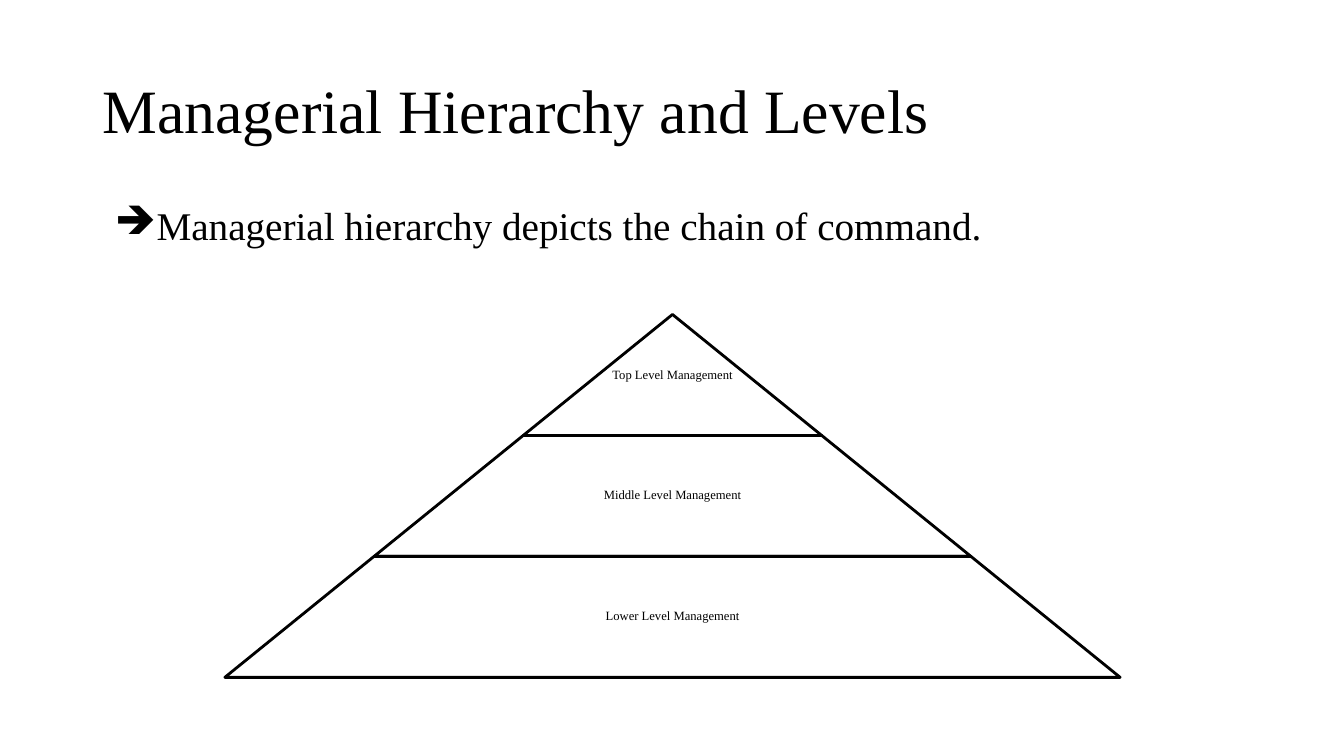
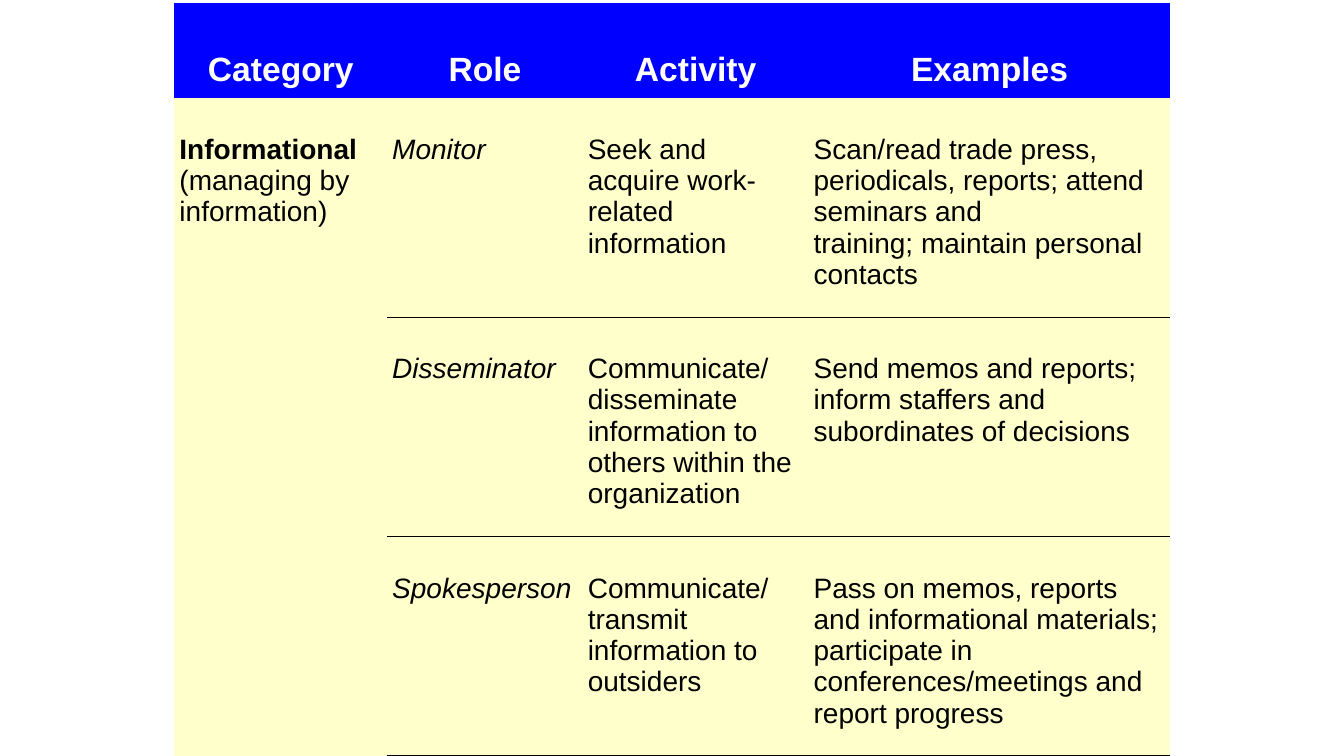
from dataclasses import dataclass

from lxml.etree import SubElement
from pptx import Presentation
from pptx.dml.color import RGBColor
from pptx.enum.shapes import MSO_SHAPE
from pptx.enum.text import MSO_ANCHOR, PP_ALIGN
from pptx.oxml.ns import qn
from pptx.util import Inches, Pt

# Shared style
WHITE, BLACK, BLUE, CREAM = "FFFFFF", "000000", "0000FF", "FFFFCC"
SERIF, SANS = "Times New Roman", "Arial"
SLIDE_WIDTH, SLIDE_HEIGHT = 13.33, 7.5


@dataclass
class Span:
    text: str
    bold: bool = False
    italic: bool = False


@dataclass
class Style:
    font: str
    size: float
    color: str = BLACK
    align: PP_ALIGN = PP_ALIGN.LEFT
    spacing: float = 1.0


TITLE = Style(SERIF, 44, spacing=0.9)
BULLET = Style(SERIF, 28, spacing=0.9)
LEVEL = Style(SERIF, 9, align=PP_ALIGN.CENTER, spacing=0.9)
HEADER = Style(SANS, 24, WHITE, PP_ALIGN.CENTER)
BODY = Style(SANS, 20)


def rgb(color: str) -> RGBColor:
    return RGBColor.from_string(color)


def write(para, spans: list[Span], style: Style) -> None:
    """Add the spans as runs; a newline becomes a line break."""
    para.alignment = style.align
    para.line_spacing = style.spacing
    for span in spans:
        for number, line in enumerate(span.text.split("\n")):
            if number:
                para.add_line_break()
            run = para.add_run()
            run.text = line
            run.font.name = style.font
            run.font.size = Pt(style.size)
            run.font.bold = span.bold
            run.font.italic = span.italic
            run.font.color.rgb = rgb(style.color)


def add_text(page, left, top, width, height, anchor):
    """Add an empty wrapping text box and return its first paragraph."""
    box = page.shapes.add_textbox(Inches(left), Inches(top), Inches(width), Inches(height))
    box.text_frame.word_wrap = True
    box.text_frame.vertical_anchor = anchor
    return box.text_frame.paragraphs[0]


def set_bullet(para, symbol: str) -> None:
    properties = para._p.get_or_add_pPr()
    properties.set("marL", str(Inches(0.5)))
    properties.set("indent", str(Inches(-0.38)))
    color = SubElement(properties, qn("a:buClr"))
    SubElement(color, qn("a:srgbClr"), val=BLACK)
    SubElement(properties, qn("a:buChar"), char=symbol)


# Management pyramid
LEVELS = ["Top Level Management", "Middle Level Management", "Lower Level Management"]
PYRAMID_CENTER, PYRAMID_TOP = 6.67, 3.12
LEVEL_HEIGHT, LEVEL_STEP = 1.2, 2.96


def add_pyramid(page) -> None:
    for number, label in enumerate(LEVELS):
        width = LEVEL_STEP * (number + 1)
        top = PYRAMID_TOP + number * LEVEL_HEIGHT
        shape = page.shapes.add_shape(
            MSO_SHAPE.TRAPEZOID, Inches(PYRAMID_CENTER - width / 2), Inches(top),
            Inches(width), Inches(LEVEL_HEIGHT))
        shape.adjustments[0] = LEVEL_STEP / 2 / LEVEL_HEIGHT
        shape.shadow.inherit = False
        shape.fill.solid()
        shape.fill.fore_color.rgb = rgb(WHITE)
        shape.line.color.rgb = rgb(BLACK)
        shape.line.width = Pt(2)

        text_width = width * 0.65
        para = add_text(page, PYRAMID_CENTER - text_width / 2, top,
                        text_width, LEVEL_HEIGHT, MSO_ANCHOR.MIDDLE)
        write(para, [Span(label)], LEVEL)


def build_hierarchy(page) -> None:
    title = add_text(page, 0.92, 0.4, 11.5, 1.45, MSO_ANCHOR.MIDDLE)
    write(title, [Span("Managerial Hierarchy and Levels")], TITLE)
    point = add_text(page, 0.92, 2, 11.5, 0.8, MSO_ANCHOR.TOP)
    set_bullet(point, "➔")
    write(point, [Span("Managerial hierarchy depicts the chain of command.")], BULLET)
    add_pyramid(page)


# Table of informational roles
@dataclass
class Role:
    name: str
    activity: str
    examples: str


HEADINGS = ["Category", "Role", "Activity", "Examples"]
CATEGORY = [[Span("Informational", bold=True)], [Span("(managing by information)")]]
ROLES = [
    Role("Monitor", "Seek and acquire work-related information",
         "Scan/read trade press, periodicals, reports; attend seminars and\n"
         "training; maintain personal contacts"),
    Role("Disseminator",
         "Communicate/ disseminate information to others within the organization",
         "Send memos and reports; inform staffers and subordinates of decisions"),
    Role("Spokesperson", "Communicate/transmit information to outsiders",
         "Pass on memos, reports and informational materials; participate in\n"
         "conferences/meetings and report progress"),
]
COLUMN_WIDTHS = [2.11, 1.94, 2.24, 3.59]
TABLE_LEFT, TABLE_TOP, HEADER_HEIGHT = 1.73, 0.03, 0.94
ROLE_HEIGHT = (SLIDE_HEIGHT - TABLE_TOP - HEADER_HEIGHT) / len(ROLES)


def style_cell(cell, fill: str, ruled_sides: str = "") -> None:
    """Rule the named sides (T, B), clear the others, then fill."""
    properties = cell._tc.get_or_add_tcPr()
    for side in "LRTB":
        line = SubElement(properties, qn(f"a:ln{side}"), w=str(Pt(1)))
        if side in ruled_sides:
            paint = SubElement(line, qn("a:solidFill"))
            SubElement(paint, qn("a:srgbClr"), val=BLACK)
        else:
            SubElement(line, qn("a:noFill"))
    cell.fill.solid()
    cell.fill.fore_color.rgb = rgb(fill)


def fill_cell(cell, paragraphs: list[list[Span]], style: Style, top_margin: float) -> None:
    cell.margin_left = cell.margin_right = cell.margin_bottom = Inches(0.05)
    cell.margin_top = Inches(top_margin)
    frame = cell.text_frame
    for number, spans in enumerate(paragraphs):
        para = frame.add_paragraph() if number else frame.paragraphs[0]
        write(para, spans, style)


def build_roles(page) -> None:
    table = page.shapes.add_table(
        len(ROLES) + 1, len(HEADINGS), Inches(TABLE_LEFT), Inches(TABLE_TOP),
        Inches(sum(COLUMN_WIDTHS)), Inches(SLIDE_HEIGHT - TABLE_TOP)).table
    table.first_row = table.horz_banding = False
    for column, width in zip(table.columns, COLUMN_WIDTHS):
        column.width = Inches(width)
    for number, row in enumerate(table.rows):
        row.height = Inches(ROLE_HEIGHT if number else HEADER_HEIGHT)

    # Header row
    for column, heading in enumerate(HEADINGS):
        cell = table.cell(0, column)
        style_cell(cell, BLUE)
        cell.vertical_anchor = MSO_ANCHOR.MIDDLE
        fill_cell(cell, [[Span(heading, bold=True)]], HEADER, 0.43)

    # Category spans all roles
    for row in range(1, len(ROLES) + 1):
        style_cell(table.cell(row, 0), CREAM)
    table.cell(1, 0).merge(table.cell(len(ROLES), 0))
    fill_cell(table.cell(1, 0), CATEGORY, BODY, 0.36)

    # Role rows
    for row, role in enumerate(ROLES, start=1):
        spans = [Span(role.name, italic=True), Span(role.activity), Span(role.examples)]
        for column, span in enumerate(spans, start=1):
            cell = table.cell(row, column)
            style_cell(cell, CREAM, "B" if row == 1 else "TB")
            fill_cell(cell, [[span]], BODY, 0.36)


def main() -> None:
    deck = Presentation()
    deck.slide_width, deck.slide_height = Inches(SLIDE_WIDTH), Inches(SLIDE_HEIGHT)
    for build in (build_hierarchy, build_roles):
        page = deck.slides.add_slide(deck.slide_layouts[6])
        page.background.fill.solid()
        page.background.fill.fore_color.rgb = rgb(WHITE)
        build(page)
    deck.save("out.pptx")


if __name__ == "__main__":
    main()
